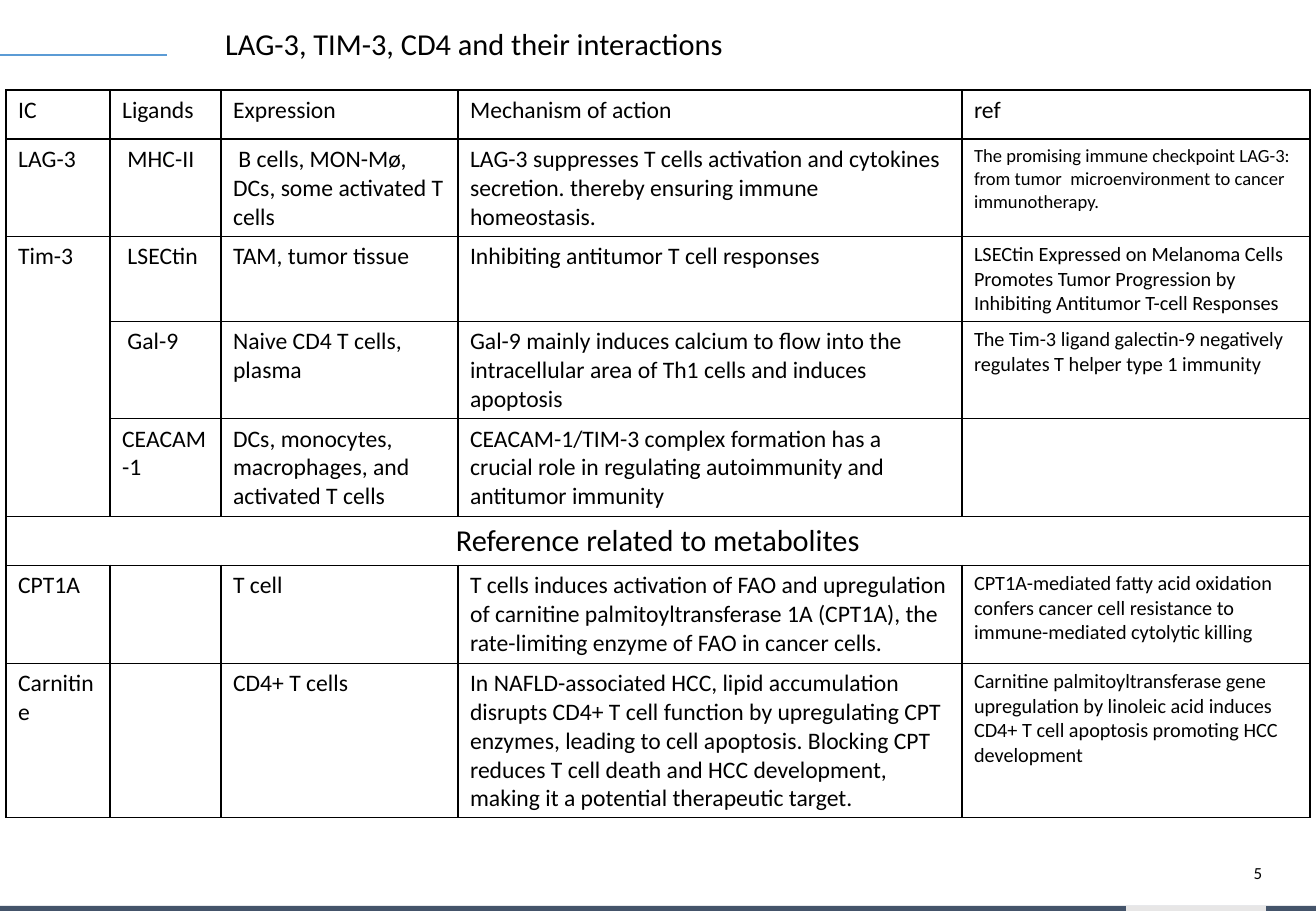
"""Build the slide on LAG-3, TIM-3, CD4 and their interactions."""
from lxml.etree import SubElement
from pptx import Presentation
from pptx.dml.color import RGBColor
from pptx.enum.shapes import MSO_CONNECTOR as CONN, MSO_SHAPE as SHAPE
from pptx.enum.text import MSO_ANCHOR as ANCHOR, PP_ALIGN as ALIGN
from pptx.oxml import parse_xml
from pptx.oxml.ns import nsdecls, qn
from pptx.util import Pt

PX = 7526
FONT = "Calibri"
BLACK = RGBColor(0x00, 0x00, 0x00)
SLATE = RGBColor(0x44, 0x54, 0x6A)
LIGHT = RGBColor(0xE7, 0xE6, 0xE6)
BLUE = RGBColor(0x5B, 0x9B, 0xD5)

COLS = [104, 111, 237, 504, 348]
HEIGHTS = [49, 97, 85, 97, 98, 48, 98, 154]
BAND_ROW, REF_COL = 5, 4
ROWS = [
    ["IC", "Ligands", "Expression", "Mechanism of action", "ref"],
    ["LAG-3", " MHC-II", " B cells, MON-Mø, DCs, some activated T cells",
     "LAG-3 suppresses T cells activation and cytokines secretion. "
     "thereby ensuring immune homeostasis.",
     "The promising immune checkpoint LAG-3: from tumor  microenvironment "
     "to cancer immunotherapy."],
    ["Tim-3", " LSECtin", "TAM, tumor tissue",
     "Inhibiting antitumor T cell responses",
     "LSECtin Expressed on Melanoma Cells Promotes Tumor Progression by "
     "Inhibiting Antitumor T-cell Responses"],
    ["", " Gal-9", "Naive CD4 T cells, plasma",
     "Gal-9 mainly induces calcium to flow into the intracellular area of "
     "Th1 cells and induces apoptosis",
     "The Tim-3 ligand galectin-9 negatively\n"
     "regulates T helper type 1 immunity"],
    ["", "CEACAM-1", "DCs, monocytes, macrophages, and activated T cells",
     "CEACAM-1/TIM-3 complex formation has a crucial role in regulating "
     "autoimmunity and antitumor immunity", ""],
    ["Reference related to metabolites", "", "", "", ""],
    ["CPT1A", "", "T cell",
     "T cells induces activation of FAO and upregulation of carnitine "
     "palmitoyltransferase 1A (CPT1A), the rate-limiting enzyme of FAO in "
     "cancer cells.",
     "CPT1A-mediated fatty acid oxidation confers cancer cell resistance to "
     "immune-mediated cytolytic killing"],
    ["Carnitine", "", "CD4+ T cells",
     "In NAFLD-associated HCC, lipid accumulation disrupts CD4+ T cell "
     "function by upregulating CPT enzymes, leading to cell apoptosis. "
     "Blocking CPT reduces T cell death and HCC development, making it a "
     "potential therapeutic target.",
     "Carnitine palmitoyltransferase gene upregulation by linoleic acid "
     "induces CD4+ T cell apoptosis promoting HCC development"],
]


def px(*lengths):
    """Turn pixel lengths into EMU."""
    return [n * PX for n in lengths]


def write(tf, text, size, align=ALIGN.LEFT):
    """Fill a text frame and format its runs."""
    tf.text = text
    for p in tf.paragraphs:
        p.alignment = align
        for r in p.runs:
            r.font.size = Pt(size)
            r.font.name = FONT
            r.font.color.rgb = BLACK


def add_title(s, text, box):
    """Move and fill the title placeholder."""
    title = s.shapes.title
    title.left, title.top, title.width, title.height = px(*box)
    title.text_frame.vertical_anchor = ANCHOR.TOP
    write(title.text_frame, text, 18)


def add_page_number(s, text, box):
    """Add the right-aligned page number."""
    tf = s.shapes.add_textbox(*px(*box)).text_frame
    tf.word_wrap = True
    tf.vertical_anchor = ANCHOR.MIDDLE
    tf.margin_left = tf.margin_right = tf.margin_top = tf.margin_bottom = 0
    write(tf, text, 10, ALIGN.RIGHT)


def add_bar(s, box, color):
    """Add a plain filled bar."""
    sp = s.shapes.add_shape(SHAPE.RECTANGLE, *px(*box))
    sp.shadow.inherit = False
    sp.fill.solid()
    sp.fill.fore_color.rgb = color
    sp.line.fill.background()


def add_rule(s, ends, color):
    """Add a thin straight line."""
    line = s.shapes.add_connector(CONN.STRAIGHT, *px(*ends))
    line.line.color.rgb = color
    line.line.width = Pt(0.75)
    SubElement(line._element.spPr, qn("a:effectLst"))


def set_borders(cell):
    """Give all four sides of a cell a black line."""
    props = cell._tc.get_or_add_tcPr()
    for i, side in enumerate(("lnL", "lnR", "lnT", "lnB")):
        props.insert(i, parse_xml(
            f'<a:{side} {nsdecls("a")} w="{Pt(1)}"><a:solidFill>'
            f'<a:srgbClr val="{BLACK}"/></a:solidFill></a:{side}>'))


def text_size(row, col):
    """Return the point size for a table cell."""
    if row == BAND_ROW:
        return 18
    if row == 0 or col != REF_COL:
        return 14
    return 11 if row == 1 else 12


def add_grid(s, left, top):
    """Add the table of checkpoints and metabolites."""
    box = px(left, top, sum(COLS), sum(HEIGHTS))
    table = s.shapes.add_table(len(ROWS), len(COLS), *box).table
    table.first_row = table.horz_banding = False
    for col, width in zip(table.columns, COLS):
        col.width = width * PX
    for row, height in zip(table.rows, HEIGHTS):
        row.height = height * PX
    for i, texts in enumerate(ROWS):
        for j, text in enumerate(texts):
            cell = table.cell(i, j)
            cell.fill.background()
            set_borders(cell)
            if text:
                align = ALIGN.CENTER if i == BAND_ROW else ALIGN.LEFT
                write(cell.text_frame, text, text_size(i, j), align)
    table.cell(2, 0).merge(table.cell(4, 0))
    table.cell(BAND_ROW, 0).merge(table.cell(BAND_ROW, REF_COL))


def main():
    """Build and save the slide."""
    prs = Presentation()
    prs.slide_width, prs.slide_height = px(1316, 911)
    s = prs.slides.add_slide(prs.slide_layouts[5])
    add_page_number(s, "5", (1232, 865, 30, 16))
    add_bar(s, (0, 906, 1316, 5), SLATE)
    add_bar(s, (1126, 906, 140, 5), LIGHT)
    add_rule(s, (0, 55, 167, 55), BLUE)
    add_title(s, "LAG-3, TIM-3, CD4 and their interactions", (213, 19, 960, 49))
    add_grid(s, 6, 90)
    prs.save("out.pptx")


if __name__ == "__main__":
    main()
